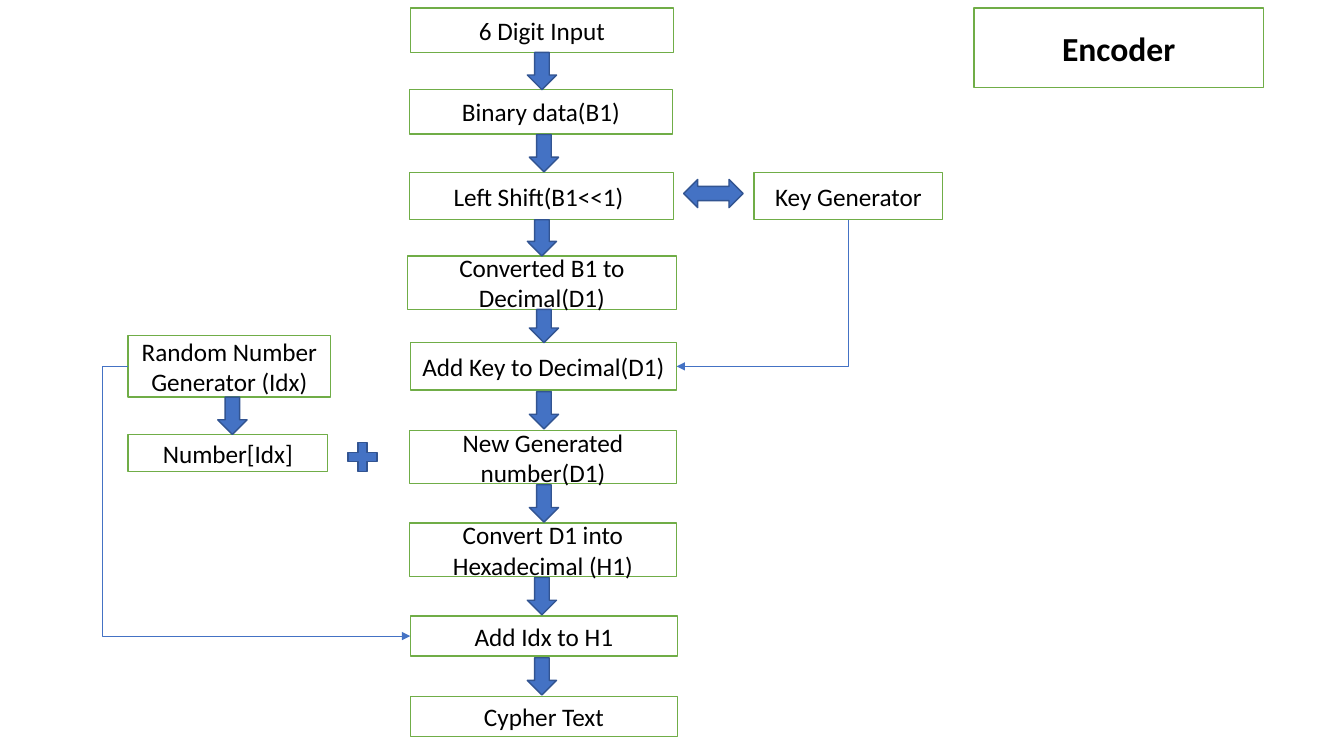
"""Build the encoder flowchart slide."""
import dataclasses
import itertools

import lxml.etree
import pptx
import pptx.dml.color
import pptx.enum.shapes
import pptx.enum.text
import pptx.oxml.ns
import pptx.util

Inches = pptx.util.Inches
Pt = pptx.util.Pt
PRESET = pptx.enum.shapes.MSO_SHAPE
COLORS = {"white": "FFFFFF", "black": "000000", "green": "70AD47",
          "blue": "4472C4", "dark_blue": "325491"}
FONT = "Calibri"
ARROW_WIDTH = 0.29
ARROW_HEIGHT = 0.37
TOP, LEFT, BOTTOM, RIGHT = range(4)


@dataclasses.dataclass(frozen=True)
class Box:
    """A labelled step, with the left edge of the arrow leaving it."""
    text: str
    left: float
    top: float
    width: float
    height: float
    arrow_left: float = 0


ENCODING_STEPS = [
    Box("6 Digit Input", 4.07, 0.08, 2.61, 0.44, 5.23),
    Box("Binary data(B1)", 4.06, 0.89, 2.61, 0.44, 5.25),
    Box("Left Shift(B1<<1) ", 4.06, 1.71, 2.62, 0.47, 5.23),
    Box("Converted B1 to Decimal(D1)", 4.04, 2.54, 2.67, 0.53, 5.25),
    Box("Add Key to Decimal(D1)", 4.07, 3.4, 2.64, 0.47, 5.25),
    Box("New Generated number(D1)", 4.06, 4.27, 2.65, 0.53, 5.25),
    Box("Convert D1 into Hexadecimal (H1)", 4.06, 5.19, 2.65, 0.53, 5.23),
    Box("Add Idx to H1", 4.07, 6.11, 2.65, 0.4, 5.23),
    Box("Cypher Text", 4.07, 6.91, 2.65, 0.4),
]
INDEX_STEPS = [
    Box("Random Number Generator (Idx)", 1.27, 3.33, 2.01, 0.61, 2.16),
    Box("Number[Idx]", 1.27, 4.31, 1.98, 0.37),
]
KEY_GENERATOR = Box("Key Generator", 7.48, 1.71, 1.87, 0.47)
TITLE = Box("Encoder", 9.66, 0.08, 2.87, 0.79)


def color(name: str) -> pptx.dml.color.RGBColor:
    """Look up a named colour."""
    return pptx.dml.color.RGBColor.from_string(COLORS[name])


def paint(shape, fill: str, line: str) -> None:
    """Give a shape a solid fill and a one-point outline."""
    shape.fill.solid()
    shape.fill.fore_color.rgb = color(fill)
    shape.line.color.rgb = color(line)
    shape.line.width = Pt(1)


def write_label(shape, text: str, size: int, bold: bool = False) -> None:
    """Write centred black text in an outlined box."""
    paint(shape, "white", "green")
    frame = shape.text_frame
    frame.text = text
    frame.word_wrap = True
    frame.auto_size = pptx.enum.text.MSO_AUTO_SIZE.NONE
    frame.vertical_anchor = pptx.enum.text.MSO_ANCHOR.MIDDLE
    paragraph = frame.paragraphs[0]
    paragraph.alignment = pptx.enum.text.PP_ALIGN.CENTER
    paragraph.line_spacing = 1.0
    paragraph.space_before = Pt(0)
    font = paragraph.runs[0].font
    font.name = FONT
    font.size = Pt(size)
    font.bold = bold
    font.color.rgb = color("black")


def add_preset(slide, preset, left: float, top: float, width: float, height: float):
    """Add a preset shape without a shadow."""
    shape = slide.shapes.add_shape(
        preset, Inches(left), Inches(top), Inches(width), Inches(height))
    shape.shadow.inherit = False
    return shape


def add_box(slide, box: Box):
    """Draw one step."""
    shape = add_preset(slide, PRESET.RECTANGLE, box.left, box.top, box.width, box.height)
    write_label(shape, box.text, 18)
    return shape


def add_symbol(slide, preset, left: float, top: float, width: float, height: float):
    """Draw a blue arrow or plus sign."""
    shape = add_preset(slide, preset, left, top, width, height)
    paint(shape, "blue", "dark_blue")
    return shape


def add_steps(slide, steps: list[Box]) -> dict:
    """Draw a column of steps with an arrow centred in each gap."""
    shapes = {step.text: add_box(slide, step) for step in steps}
    for upper, lower in itertools.pairwise(steps):
        bottom = upper.top + upper.height
        gap = lower.top - bottom
        height = min(gap, ARROW_HEIGHT)
        add_symbol(slide, PRESET.DOWN_ARROW, upper.arrow_left,
                   bottom + (gap - height) / 2, ARROW_WIDTH, height)
    return shapes


def connect(slide, start, start_site: int, end, end_site: int):
    """Glue a thin elbow connector with an arrowhead between two boxes."""
    connector = slide.shapes.add_connector(
        pptx.enum.shapes.MSO_CONNECTOR.ELBOW, 0, 0, 0, 0)
    connector.begin_connect(start, start_site)
    connector.end_connect(end, end_site)
    connector.line.color.rgb = color("blue")
    connector.line.width = Pt(0.5)
    qn = pptx.oxml.ns.qn
    lxml.etree.SubElement(connector.line._get_or_add_ln(), qn("a:tailEnd"), type="triangle")
    lxml.etree.SubElement(connector._element.spPr, qn("a:effectLst"))
    return connector


def turn_down_then_left(connector) -> None:
    """Make a connector go down and then left with a single corner."""
    start_x, start_y = connector.begin_x, connector.begin_y
    end_x, end_y = connector.end_x, connector.end_y
    width, height = end_y - start_y, start_x - end_x
    properties = connector._element.spPr
    properties.find(pptx.oxml.ns.qn("a:prstGeom")).set("prst", "bentConnector2")
    transform = properties.find(pptx.oxml.ns.qn("a:xfrm"))
    transform.attrib.pop("flipH", None)
    transform.set("rot", "5400000")
    connector.left = (start_x + end_x - width) // 2
    connector.top = (start_y + end_y - height) // 2
    connector.width, connector.height = width, height


def bend_outside(connector, ratio: float) -> None:
    """Move the middle segment of a connector, as a share of its width."""
    qn = pptx.oxml.ns.qn
    geometry = connector._element.spPr.find(qn("a:prstGeom"))
    guides = geometry.find(qn("a:avLst"))
    if guides is None:
        guides = lxml.etree.SubElement(geometry, qn("a:avLst"))
    lxml.etree.SubElement(guides, qn("a:gd"), name="adj1", fmla=f"val {round(ratio * 100000)}")


def main() -> None:
    """Build and save the slide."""
    presentation = pptx.Presentation()
    presentation.slide_width = Inches(13.33)
    presentation.slide_height = Inches(7.5)
    slide = presentation.slides.add_slide(presentation.slide_layouts[5])

    title = slide.shapes.title
    title.left, title.top = Inches(TITLE.left), Inches(TITLE.top)
    title.width, title.height = Inches(TITLE.width), Inches(TITLE.height)
    write_label(title, TITLE.text, 24, bold=True)

    encoding = add_steps(slide, ENCODING_STEPS)
    index = add_steps(slide, INDEX_STEPS)
    key_generator = add_box(slide, KEY_GENERATOR)
    add_symbol(slide, PRESET.LEFT_RIGHT_ARROW, 6.78, 1.78, 0.59, 0.28)
    add_symbol(slide, PRESET.MATH_PLUS, 3.4, 4.34, 0.39, 0.39)

    key_link = connect(slide, key_generator, BOTTOM, encoding["Add Key to Decimal(D1)"], RIGHT)
    turn_down_then_left(key_link)
    index_link = connect(slide, index["Random Number Generator (Idx)"], LEFT,
                         encoding["Add Idx to H1"], LEFT)
    bend_outside(index_link, -0.09)
    presentation.save("out.pptx")


main()
